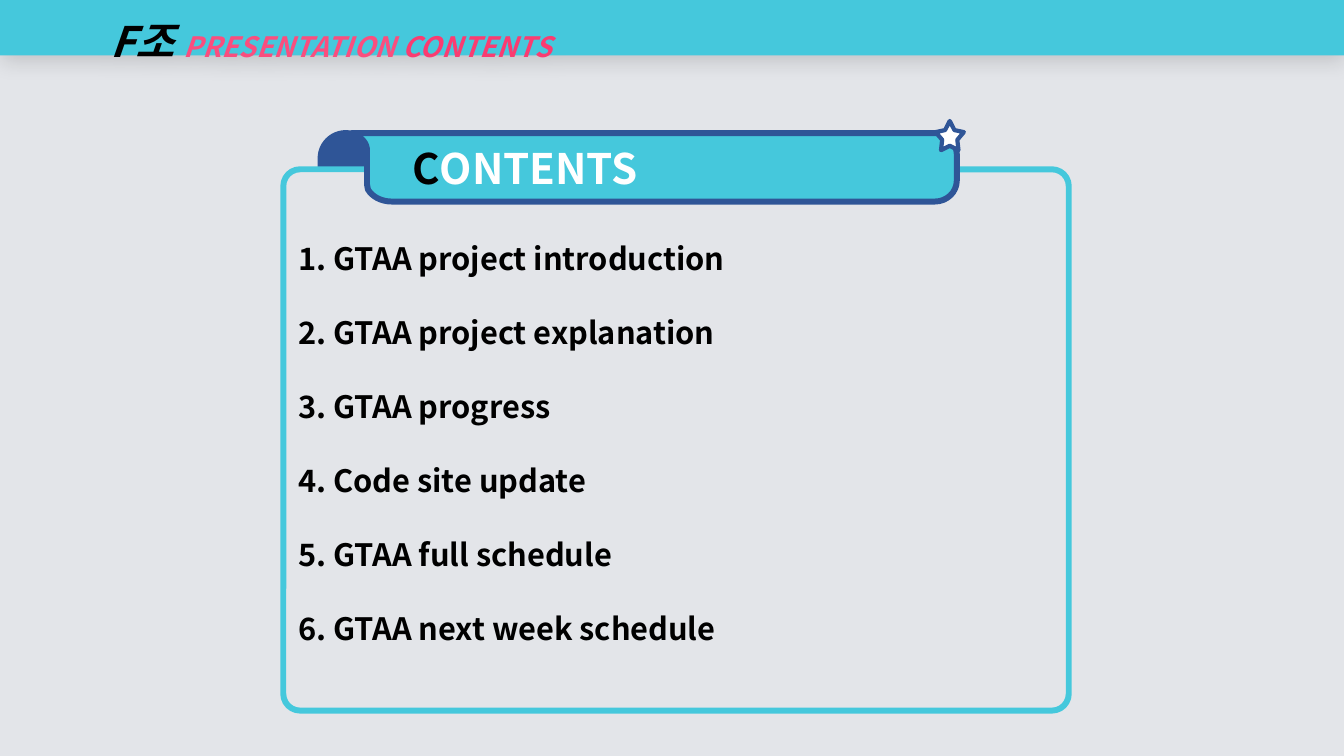
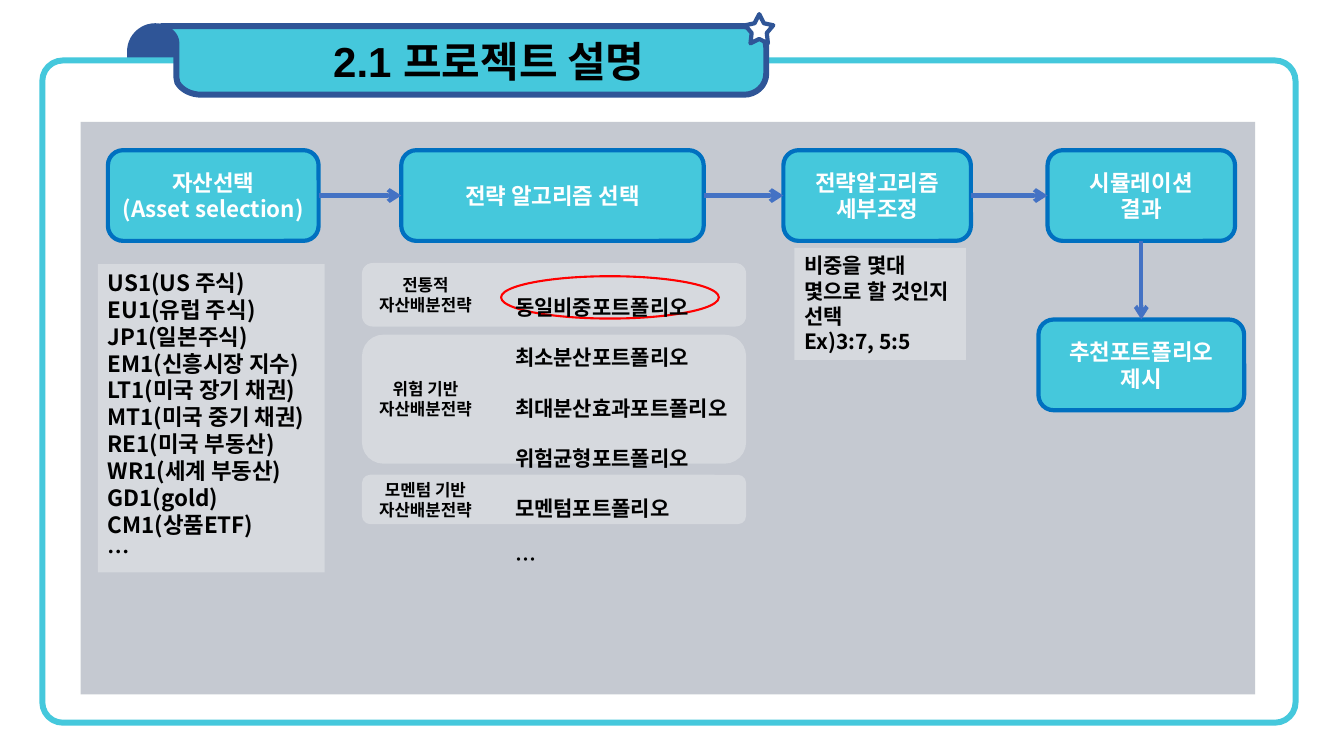
"""Builds a contents slide and a project explanation slide that share a ribbon-topped frame."""
from lxml import etree
from pptx import Presentation, util as u
from pptx.dml.color import RGBColor
from pptx.enum import shapes, text
from pptx.oxml import ns

COLORS = {
    "cyan": "45C8DC", "navy": "2F5597", "blue": "0070C0", "arrow": "4472C4",
    "grey": "E3E5E9", "panel": "BDC1CB", "white": "FFFFFF", "black": "000000",
    "pink": "FA4E7E", "rose": "FA3C71", "red": "FF0000",
}
FONT = "Noto Sans CJK KR"
WIDTH, HEIGHT = 13.33, 7.5
KIND = shapes.MSO_SHAPE
CENTER = text.PP_ALIGN.CENTER

CONTENTS = [
    "GTAA project introduction", "GTAA project explanation", "GTAA progress",
    "Code site update", "GTAA full schedule", "GTAA next week schedule",
]
HEADER = [("F조 ", 30, "black"), ("PRESENTATION ", 20, "pink"), ("CONTENTS", 20, "rose")]
CONTENTS_TITLE = [("C", 30, "black"), ("ONTENTS", 30, "white")]
PROJECT_TITLE = [("2.1 프로젝트 설명", 30, "black")]

STEP_TOP, STEP_HEIGHT = 1.49, 0.9
STEPS = [
    (1.07, STEP_TOP, 2.09, ["자산선택", "(Asset selection)"]),
    (3.98, STEP_TOP, 3.0, ["전략 알고리즘 선택"]),
    (7.77, STEP_TOP, 1.86, ["전략알고리즘 세부조정"]),
    (10.39, STEP_TOP, 1.86, ["시뮬레이션", "결과"]),
    (10.3, 3.17, 2.04, ["추천포트폴리오 제시"]),
]
ASSETS = [
    "US1(US 주식)", "EU1(유럽 주식)", "JP1(일본주식)", "EM1(신흥시장 지수)",
    "LT1(미국 장기 채권)", "MT1(미국 중기 채권)", "RE1(미국 부동산)",
    "WR1(세계 부동산)", "GD1(gold)", "CM1(상품ETF)", "…",
]
TUNING = ["비중을 몇대 몇으로 할 것인지 선택", "Ex)3:7, 5:5"]
FAMILIES = [
    (2.61, 0.63, ["전통적", "자산배분전략"]),
    (3.32, 1.28, ["위험 기반", "자산배분전략"]),
    (4.71, 0.49, ["모멘텀 기반", "자산배분전략"]),
]
PORTFOLIOS = [
    "동일비중포트폴리오", "최소분산포트폴리오", "최대분산효과포트폴리오",
    "위험균형포트폴리오", "모멘텀포트폴리오", "…",
]

RIBBON = [
    [(0, 0)], [(5.78, 0)], [(5.9, 0), (6, 0.1), (6, 0.21)],
    [(6, 0.47)], [(6, 0.59), (5.9, 0.68), (5.78, 0.68)],
    [(0.4, 0.68)], [(0.29, 0.68), (0.2, 0.63), (0.16, 0.56)],
    [(0.15, 0.51)], [(0.15, 0.17)], [(0.15, 0.11), (0.11, 0.05), (0.04, 0.03)],
    [(0, 0.02)],
]


def rgb(name):
    return RGBColor.from_string(COLORS[name])


def child(parent, tag, **attributes):
    return etree.SubElement(parent, ns.qn(tag), {k: str(v) for k, v in attributes.items()})


def paint(shape, fill=None, line=None, weight=1, alpha=None):
    shape.shadow.inherit = False
    if fill:
        shape.fill.solid()
        shape.fill.fore_color.rgb = rgb(fill)
        if alpha:
            color = shape.fill._xPr.find(".//" + ns.qn("a:srgbClr"))
            child(color, "a:alpha", val=alpha * 1000)
    else:
        shape.fill.background()
    if line:
        shape.line.color.rgb = rgb(line)
        shape.line.width = u.Pt(weight)
    else:
        shape.line.fill.background()
    return shape


def add_box(slide, kind, at, fill=None, line=None, weight=1, alpha=None, adjust=()):
    shape = slide.shapes.add_shape(kind, *map(u.Inches, at))
    for index, value in enumerate(adjust):
        shape.adjustments[index] = value
    return paint(shape, fill, line, weight, alpha)


def write(shape, paragraphs, align=text.PP_ALIGN.LEFT, spacing=None, indent=0,
          middle=True, italic=False, wrap=True, font=FONT):
    frame = shape.text_frame
    frame.word_wrap = wrap
    frame.vertical_anchor = text.MSO_ANCHOR.MIDDLE if middle else text.MSO_ANCHOR.TOP
    for index, runs in enumerate(paragraphs):
        paragraph = frame.add_paragraph() if index else frame.paragraphs[0]
        paragraph.alignment = align
        if spacing:
            paragraph.line_spacing = spacing
        if indent:
            paragraph._p.get_or_add_pPr().set("marL", str(u.Inches(indent)))
        for words, size, color in runs:
            run = paragraph.add_run()
            run.text = words
            run.font.size = u.Pt(size)
            run.font.bold = True
            run.font.italic = italic
            run.font.color.rgb = rgb(color)
            run.font.name = font
            child(run._r.get_or_add_rPr(), "a:ea", typeface=FONT)


def plain(lines, size, color="black"):
    return [[(line, size, color)] for line in lines]


def outline(segments, steps=8):
    points = []
    for segment in segments:
        if len(segment) == 1:
            points += segment
            continue
        controls = [points[-1], *segment]
        for step in range(1, steps + 1):
            t = step / steps
            weights = ((1 - t) ** 3, 3 * t * (1 - t) ** 2, 3 * t * t * (1 - t), t ** 3)
            points.append(tuple(sum(w * p[axis] for w, p in zip(weights, controls))
                                for axis in (0, 1)))
    return points


def add_frame(slide, left, top, frame_at, background, title, **title_style):
    slide.background.fill.solid()
    slide.background.fill.fore_color.rgb = rgb(background)
    add_box(slide, KIND.ROUND_2_SAME_RECTANGLE, (left - 0.31, top, 0.5, 0.98),
            "navy", "navy", 4.25, adjust=(0.5, 0))
    frame = add_box(slide, KIND.ROUNDED_RECTANGLE, frame_at, background, "cyan", 4.25,
                    adjust=(0.031,))
    points = [(u.Inches(left + x), u.Inches(top + y)) for x, y in outline(RIBBON)]
    builder = slide.shapes.build_freeform(*points[0], scale=1.0)
    builder.add_line_segments(points[1:], close=True)
    ribbon = paint(builder.convert_to_shape(), "cyan", "navy", 4.25)
    write(ribbon, [title], indent=0.5, **title_style)
    add_box(slide, KIND.STAR_5_POINT, (left + 5.79, top - 0.12, 0.28, 0.29),
            "white", "navy", 3, adjust=(0.269,))
    return frame


def add_arrow(slide, start, start_side, end, end_side):
    connector = slide.shapes.add_connector(shapes.MSO_CONNECTOR.STRAIGHT, 0, 0, 0, 0)
    connector.begin_connect(start, start_side)
    connector.end_connect(end, end_side)
    connector.line.color.rgb = rgb("arrow")
    connector.line.width = u.Pt(3)
    child(connector.line._get_or_add_ln(), "a:tailEnd", type="arrow")
    child(connector._element.spPr, "a:effectLst")


def build_contents(slide):
    frame = add_frame(slide, 3.49, 1.32, (2.81, 1.68, 7.79, 5.37), "grey", CONTENTS_TITLE)
    frame.text_frame.margin_bottom = u.Inches(0.35)
    numbered = [f"{number}. {item}" for number, item in enumerate(CONTENTS, 1)]
    write(frame, plain(numbered, 22), spacing=2.0)

    header = add_box(slide, KIND.RECTANGLE, (0, 0, WIDTH, 0.55), "cyan")
    effects = header._element.spPr.find(ns.qn("a:effectLst"))
    shadow = child(effects, "a:outerShdw", blurRad=u.Pt(15), dist=u.Pt(3), dir=90 * 60000)
    child(child(shadow, "a:srgbClr", val=COLORS["black"]), "a:alpha", val=15000)
    write(header, [HEADER], spacing=1.5, indent=1, italic=True)


def build_project(slide):
    add_frame(slide, 1.6, 0.26, (0.42, 0.6, 12.43, 6.57), "white", PROJECT_TITLE,
              align=CENTER, font="Arial")
    add_box(slide, KIND.RECTANGLE, (0.8, 1.21, 11.65, 5.68), "panel", alpha=87)

    steps = []
    for left, top, width, lines in STEPS:
        step = add_box(slide, KIND.ROUNDED_RECTANGLE, (left, top, width, STEP_HEIGHT),
                       "cyan", "blue", 3)
        write(step, plain(lines, 16, "white"), align=CENTER)
        steps.append(step)
    for index, (start, end) in enumerate(zip(steps, steps[1:])):
        sides = (2, 0) if index == len(steps) - 2 else (3, 1)
        add_arrow(slide, start, sides[0], end, sides[1])

    assets = add_box(slide, KIND.RECTANGLE, (0.97, 2.62, 2.25, 3.06), "white", alpha=30)
    write(assets, plain(ASSETS, 16), middle=False, wrap=False)
    tuning = add_box(slide, KIND.RECTANGLE, (7.88, 2.46, 1.7, 1.11), "white", alpha=30)
    write(tuning, plain(TUNING, 15), middle=False)

    for top, height, lines in FAMILIES:
        family = add_box(slide, KIND.ROUNDED_RECTANGLE, (3.59, top, 3.81, height),
                         "white", alpha=30)
        frame = family.text_frame
        frame.margin_left = frame.margin_top = frame.margin_bottom = 0
        frame.margin_right = u.Inches(2.55)
        write(family, plain(lines, 12), align=CENTER)

    add_box(slide, KIND.OVAL, (4.97, 2.74, 2.16, 0.42), line="red", weight=1.5)
    portfolios = slide.shapes.add_textbox(*map(u.Inches, (5.01, 2.62, 2.52, 3.13)))
    write(portfolios, plain(PORTFOLIOS, 15), spacing=2.0, middle=False)


def main():
    presentation = Presentation()
    presentation.slide_width = u.Inches(WIDTH)
    presentation.slide_height = u.Inches(HEIGHT)
    for build in (build_contents, build_project):
        build(presentation.slides.add_slide(presentation.slide_layouts[6]))
    presentation.save("out.pptx")


if __name__ == "__main__":
    main()
